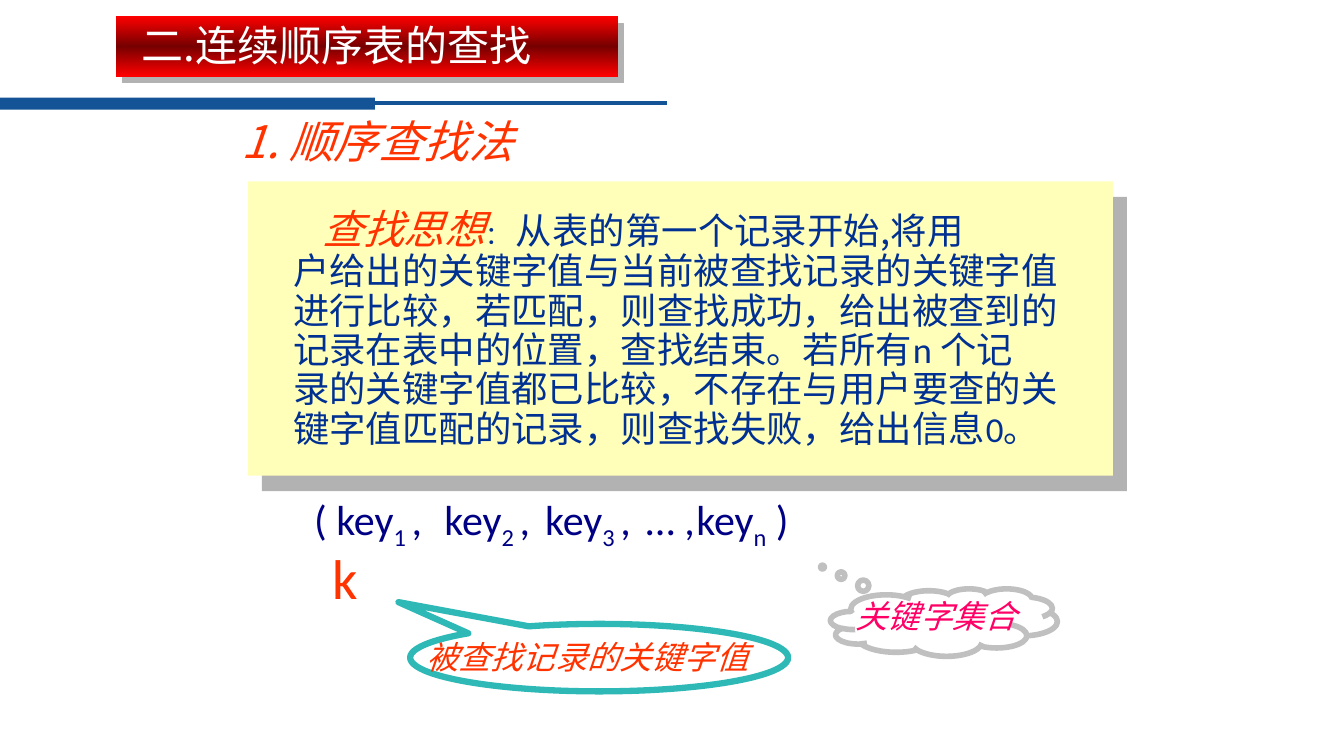
"""Build the slide on sequential search in a contiguous list."""
from copy import deepcopy
from dataclasses import dataclass, replace

from lxml import etree
from pptx import Presentation
from pptx.dml.color import RGBColor
from pptx.enum.shapes import MSO_CONNECTOR, MSO_SHAPE
from pptx.oxml.ns import qn
from pptx.util import Pt

RECT = MSO_SHAPE.RECTANGLE
CLOUD = MSO_SHAPE.CLOUD_CALLOUT
ELLIPSE_CALLOUT = MSO_SHAPE.OVAL_CALLOUT
STRAIGHT = MSO_CONNECTOR.STRAIGHT
CJK = "Noto Sans CJK SC"
LATIN = "Calibri"
BAR_BLUE, TEXT_BLUE, KEY_BLUE = "145396", "003192", "000084"
ORANGE, PINK, WHITE, GREY = "FF3300", "FF0066", "FFFFFF", "B2B2B2"


@dataclass(frozen=True)
class Run:
    """A piece of text in one style."""
    text: str
    size: float
    color: str
    font: str = CJK
    italic: bool = False
    subscript: bool = False
    shadow: str = ""


@dataclass(frozen=True)
class Label:
    """A text box with its paragraphs of runs."""
    box: tuple[float, float, float, float]
    paragraphs: list[list[Run]]
    wrap: bool = True
    spacing: float = 1.0
    indent: float = 0
    tabs: tuple[float, ...] = ()


@dataclass(frozen=True)
class Panel:
    """A preset shape with fill, outline and shadow."""
    box: tuple[float, float, float, float]
    kind: int = RECT
    fill: tuple[str, ...] = ()
    line: str = ""
    line_width: float = 0
    pointer: tuple[float, ...] = ()
    shadow: tuple[float, float] = ()


def rgb(color: str) -> RGBColor:
    """Turn a hex string into a colour."""
    return RGBColor.from_string(color)


def shadow_effect(color: str, distance: float, angle: float):
    """Make an effect list with one hard outer shadow."""
    effects = etree.Element(qn("a:effectLst"))
    outer = etree.SubElement(effects, qn("a:outerShdw"), blurRad="0", dist=str(Pt(distance)),
                             dir=str(int(angle * 60000)), algn="ctr", rotWithShape="0")
    etree.SubElement(outer, qn("a:srgbClr"), val=color)
    return effects


def draw_panel(slide, panel: Panel) -> None:
    """Draw one preset shape."""
    shape = slide.shapes.add_shape(panel.kind, *map(Pt, panel.box))
    shape.shadow.inherit = False
    for index, value in enumerate(panel.pointer):
        shape.adjustments[index] = value
    if not panel.fill:
        shape.fill.background()
    elif len(panel.fill) == 1:
        shape.fill.solid()
        shape.fill.fore_color.rgb = rgb(panel.fill[0])
    else:
        shape.fill.gradient()
        shape.fill.gradient_angle = 90
        first = shape.fill._fill._gradFill.gsLst[0]
        first.addnext(deepcopy(first))
        stops = shape.fill.gradient_stops
        for index, (stop, color) in enumerate(zip(stops, panel.fill)):
            stop.position = index / (len(panel.fill) - 1)
            stop.color.rgb = rgb(color)
    if panel.line:
        shape.line.color.rgb = rgb(panel.line)
        shape.line.width = Pt(panel.line_width)
    else:
        shape.line.fill.background()
    if panel.shadow:
        properties = shape._element.spPr
        empty = properties.find(qn("a:effectLst"))
        properties.replace(empty, shadow_effect(GREY, *panel.shadow))


def add_run(paragraph, piece: Run) -> None:
    """Append one styled run to a paragraph."""
    run = paragraph.add_run()
    run.text = piece.text
    run.font.size = Pt(piece.size)
    run.font.italic = piece.italic
    run.font.color.rgb = rgb(piece.color)
    run.font.name = piece.font
    properties = run._r.get_or_add_rPr()
    latin = properties.find(qn("a:latin"))
    latin.addnext(etree.Element(qn("a:ea"), typeface=CJK))
    if piece.subscript:
        properties.set("baseline", "-25000")
    if piece.shadow:
        latin.addprevious(shadow_effect(piece.shadow, 2, 45))


def draw_label(slide, label: Label) -> None:
    """Draw one text box."""
    frame = slide.shapes.add_textbox(*map(Pt, label.box)).text_frame
    frame.word_wrap = label.wrap
    for index, pieces in enumerate(label.paragraphs):
        paragraph = frame.add_paragraph() if index else frame.paragraphs[0]
        properties = paragraph._p.get_or_add_pPr()
        if label.indent and index == 0:
            properties.set("marL", "0")
            properties.set("indent", str(Pt(label.indent)))
        if label.tabs:
            tab_list = etree.SubElement(properties, qn("a:tabLst"))
            for position in label.tabs:
                etree.SubElement(tab_list, qn("a:tab"), pos=str(Pt(position)), algn="l")
        paragraph.line_spacing = label.spacing
        for piece in pieces:
            add_run(paragraph, piece)


def draw_rule(slide) -> None:
    """Draw the thick and thin header rule."""
    draw_panel(slide, Panel((0, 69.8, 267.8, 8.6), fill=(BAR_BLUE,)))
    rule = slide.shapes.add_connector(STRAIGHT, Pt(265), Pt(73.6), Pt(476.6), Pt(73.6))
    rule.line.color.rgb = rgb(BAR_BLUE)
    rule.line.width = Pt(2.25)
    etree.SubElement(rule._element.spPr, qn("a:effectLst"))


BODY = Run("", 26, TEXT_BLUE)
KEY = Run("", 30, KEY_BLUE, LATIN)
IDEA = [
    [Run("查找思想", 29, ORANGE, italic=True), replace(BODY, text="： ", size=18),
     replace(BODY, text="从表的第一个记录开始,将用")],
    [replace(BODY, text="户给出的关键字值与当前被查找记录的关键字值")],
    [replace(BODY, text="进行比较，若匹配，则查找成功，给出被查到的")],
    [replace(BODY, text="记录在表中的位置，查找结束。若所有"),
     replace(BODY, text="n ", font=LATIN), replace(BODY, text="个记")],
    [replace(BODY, text="录的关键字值都已比较，不存在与用户要查的关")],
    [replace(BODY, text="键字值匹配的记录，则查找失败，给出信息"),
     replace(BODY, text="0", size=25, font=LATIN), replace(BODY, text="。", size=25)],
]
KEY_PARTS = ["( key", "1 ", ",\tkey", "2 ", ",\tkey", "3 ", ",\t… ,\tkey", "n", " )"]
KEYS = [replace(KEY, text=part, subscript=index % 2 == 1)
        for index, part in enumerate(KEY_PARTS)]

ELEMENTS = [
    Panel((177.1, 129.6, 617.8, 210.2), fill=("FFFFB9",), shadow=(14.9, 48)),
    Label((202.3, 146.2, 564.5, 179.3), IDEA, wrap=False, spacing=0.9, indent=21),
    Label((165.6, 77.8, 259.9, 45.4), [[Run("1. 顺序查找法", 32, ORANGE, italic=True)]]),
    Panel((82.8, 11.5, 358.6, 43.2), fill=("FF0000", "760000", "FF0000"), shadow=(6.4, 51)),
    Label((94.3, 10.1, 382.3, 43.2), [[Run("二.连续顺序表的查找", 30, WHITE)]]),
    Label((202.3, 349.2, 514.1, 43.2), [KEYS], indent=15, tabs=(110, 192, 274, 322)),
    Panel((593.3, 420.5, 162, 48.2), CLOUD, line="C0C0C0", line_width=4,
          pointer=(-0.536, -0.82)),
    Label((604.1, 429.8, 152.6, 26.6),
          [[Run("关键字集合", 23, PINK, LATIN, italic=True)]], spacing=0.7),
    Label((230.4, 384.5, 31, 55.4), [[Run("k", 40, ORANGE, LATIN, shadow=KEY_BLUE)]],
          wrap=False),
    Panel((293, 445.7, 270, 48.2), ELLIPSE_CALLOUT, line="2EB9B6", line_width=4.5,
          pointer=(-0.531, -0.823)),
    Label((297.4, 451.4, 273.6, 34.6),
          [[Run("被查找记录的关键字值", 23, ORANGE, LATIN, italic=True)]]),
]


def main() -> None:
    """Create and save the presentation."""
    deck = Presentation()
    deck.slide_width, deck.slide_height = Pt(960), Pt(540)
    slide = deck.slides.add_slide(deck.slide_layouts[6])
    draw_rule(slide)
    for element in ELEMENTS:
        if isinstance(element, Panel):
            draw_panel(slide, element)
        else:
            draw_label(slide, element)
    deck.save("out.pptx")


if __name__ == "__main__":
    main()
